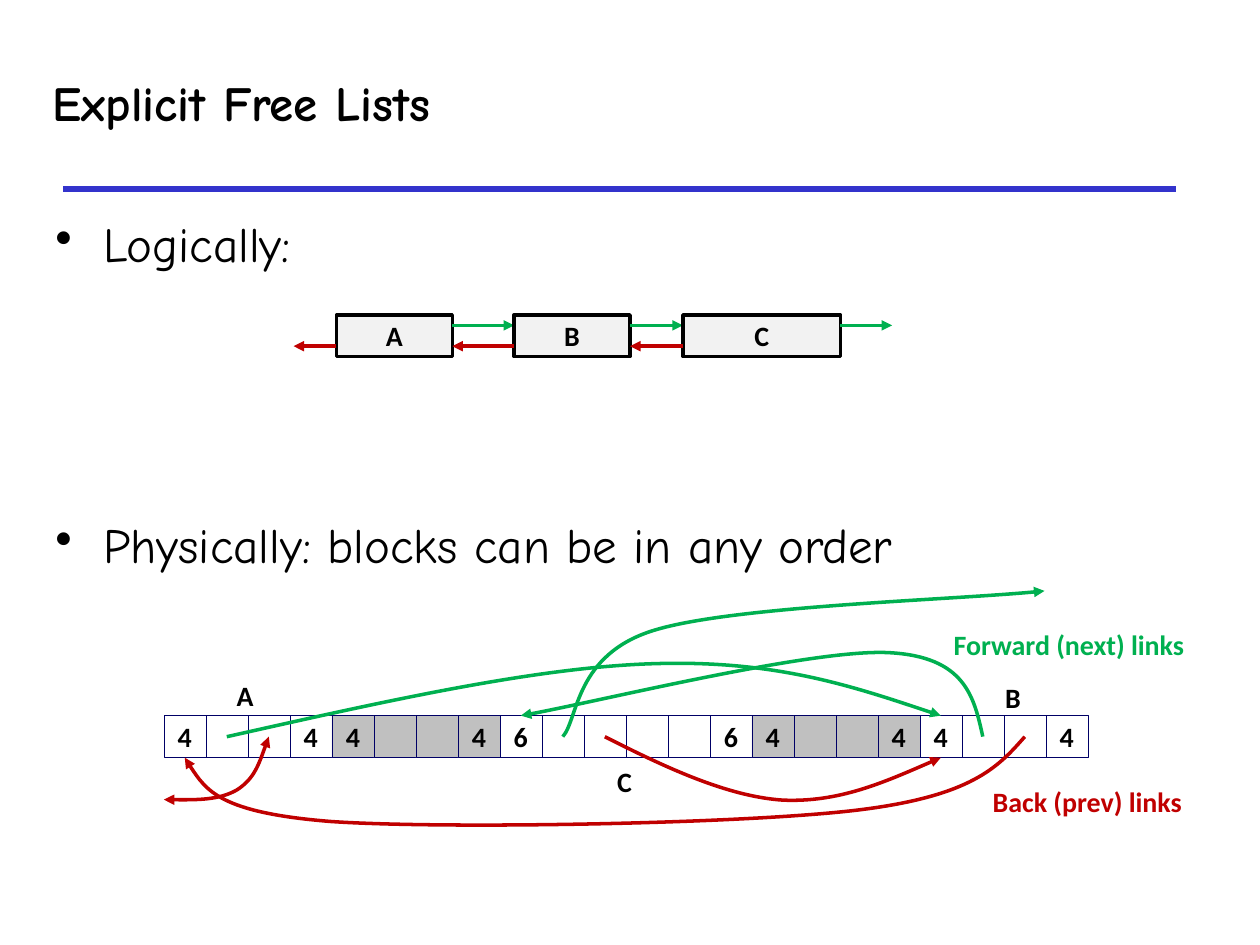
from dataclasses import dataclass

import pptx
import pptx.dml.color
import pptx.enum.shapes
import pptx.enum.text
import pptx.oxml
import pptx.oxml.ns
import pptx.util
from pptx.util import Inches

ALIGN = pptx.enum.text.PP_ALIGN
MIDDLE = pptx.enum.text.MSO_ANCHOR.MIDDLE
RECTANGLE = pptx.enum.shapes.MSO_SHAPE.RECTANGLE
STRAIGHT = pptx.enum.shapes.MSO_CONNECTOR.STRAIGHT


@dataclass(frozen=True)
class Theme:
    text: str = "000000"
    rule: str = "3333CC"
    forward: str = "00B050"
    back: str = "C00000"
    node: str = "F2F2F2"
    used: str = "C0C0C0"
    grid: str = "000066"
    heading_font: str = "Comic Neue"
    label_font: str = "Calibri"
    heading_size: float = 28
    label_size: float = 16
    link_width: float = 2
    grid_width: float = 0.25
    rule_width: float = 3


@dataclass(frozen=True)
class Box:
    left: float
    top: float
    width: float
    height: float

    def lengths(self):
        return [Inches(v) for v in (self.left, self.top, self.width, self.height)]


THEME = Theme()
HEADING = {"name": THEME.heading_font, "size": pptx.util.Pt(THEME.heading_size), "bold": False}
LABEL = {"name": THEME.label_font, "size": pptx.util.Pt(THEME.label_size), "bold": True}


def rgb(value):
    return pptx.dml.color.RGBColor.from_string(value)


def apply(target, values):
    for name, value in values.items():
        setattr(target, name, value)


def add_xml(parent, tag, **attributes):
    element = pptx.oxml.parse_xml(f"<a:{tag} {pptx.oxml.ns.nsdecls('a')}/>")
    for name, value in attributes.items():
        element.set(name, value)
    parent.append(element)


def write(para, text, style, color=THEME.text):
    span = para.add_run()
    span.text = text
    apply(span.font, style)
    span.font.color.rgb = rgb(color)


def style_line(line, color, width, arrows=()):
    line.color.rgb = rgb(color)
    line.width = pptx.util.Pt(width)
    for end in arrows:
        add_xml(line._get_or_add_ln(), end, type="triangle")


def add_line(page, start, finish, color, width, arrows=()):
    ends = [Inches(v) for v in (*start, *finish)]
    connector = page.shapes.add_connector(STRAIGHT, *ends)
    style_line(connector.line, color, width, arrows)
    add_xml(connector._element.spPr, "effectLst")


def add_block(page, box, text, fill, color, width):
    block = page.shapes.add_shape(RECTANGLE, *box.lengths())
    block.shadow.inherit = False
    if fill:
        block.fill.solid()
        block.fill.fore_color.rgb = rgb(fill)
    else:
        block.fill.background()
    style_line(block.line, color, width)
    if text:
        apply(block.text_frame, {"word_wrap": False, "vertical_anchor": MIDDLE})
        para = block.text_frame.paragraphs[0]
        para.alignment = ALIGN.CENTER
        write(para, text, LABEL)


def add_label(page, box, text, color):
    label = page.shapes.add_textbox(*box.lengths())
    label.text_frame.word_wrap = False
    write(label.text_frame.paragraphs[0], text, LABEL, color)


def add_curve(page, points, color, arrows):
    """Draw cubic curves: a start point, then three points for each curve."""
    start, *controls = [(Inches(x), Inches(y)) for x, y in points]
    builder = page.shapes.build_freeform(*start)
    builder.add_line_segments(controls, close=False)
    curve = builder.convert_to_shape()
    curve.shadow.inherit = False
    curve.fill.background()
    style_line(curve.line, color, THEME.link_width, arrows)
    # Join every three straight segments into one cubic segment
    segments = list(curve._element.iter(pptx.oxml.ns.qn("a:lnTo")))
    for first in range(0, len(segments), 3):
        cubic = pptx.oxml.parse_xml(f"<a:cubicBezTo {pptx.oxml.ns.nsdecls('a')}/>")
        segments[first].addprevious(cubic)
        for segment in segments[first:first + 3]:
            cubic.append(segment[0])
            segment.getparent().remove(segment)


def add_title(page, box, text):
    title = page.shapes.title
    apply(title, dict(zip(("left", "top", "width", "height"), box.lengths())))
    title.text_frame.vertical_anchor = MIDDLE
    para = title.text_frame.paragraphs[0]
    apply(para, {"alignment": ALIGN.LEFT, "line_spacing": 0.87})
    write(para, text, {**HEADING, "bold": True})


def add_bullets(page, box, items):
    frame = page.shapes.add_textbox(*box.lengths()).text_frame
    frame.word_wrap = True
    for index, (text, space) in enumerate(items):
        para = frame.add_paragraph() if index else frame.paragraphs[0]
        apply(para, {"line_spacing": 0.85, "space_before": pptx.util.Pt(space)})
        properties = para._p.get_or_add_pPr()
        properties.set("marL", str(Inches(0.38)))
        properties.set("indent", str(-Inches(0.38)))
        add_xml(properties, "buChar", char="•")
        write(para, text, HEADING)


def add_logical_list(page, box):
    nodes = [("A", 0.34, 0.92), ("B", 1.75, 0.92), ("C", 3.09, 1.25)]
    lefts = [box.left + offset for _, offset, _ in nodes] + [box.left + box.width]
    rights = [box.left] + [left + node[2] for left, node in zip(lefts, nodes)]
    next_y, back_y = box.top + box.height / 4, box.top + box.height * 3 / 4
    for index, (name, _, width) in enumerate(nodes):
        add_block(page, Box(lefts[index], box.top, width, box.height), name,
                  THEME.node, THEME.text, THEME.link_width)
        add_line(page, (rights[index + 1], next_y), (lefts[index + 1], next_y),
                 THEME.forward, THEME.link_width, ["tailEnd"])
        add_line(page, (lefts[index], back_y), (rights[index], back_y),
                 THEME.back, THEME.link_width, ["tailEnd"])


def add_physical_heap(page, box):
    # Blocks of words, with the size in the first and last word
    blocks = [(4, None), (4, THEME.used), (6, None), (4, THEME.used), (4, None)]
    cell = box.width / sum(size for size, _ in blocks)
    column = 0
    for size, fill in blocks:
        for word in range(size):
            text = str(size) if word in (0, size - 1) else ""
            add_block(page, Box(box.left + column * cell, box.top, cell, box.height),
                      text, fill, THEME.grid, THEME.grid_width)
            column += 1

    # Links, measured in cells from the top left of the heap
    tail, both = ["tailEnd"], ["headEnd", "tailEnd"]
    links = [
        (THEME.forward, tail, [(1.5, 0.5), (5.2, -0.33), (8.9, -1.17), (11.74, -1.24),
                               (14.58, -1.32), (16.53, -0.66), (18.5, 0)]),
        (THEME.forward, tail, [(19.5, 0.5), (19.29, -0.45), (19.08, -1.41), (17.25, -1.5),
                               (15.42, -1.59), (9.96, -0.24), (8.5, 0)]),
        (THEME.back, tail, [(20.5, 0.5), (19.86, 1.23), (19.23, 1.92), (16.5, 2.25),
                            (13.74, 2.58), (6.66, 2.7), (3.99, 2.52),
                            (1.32, 2.31), (0.9, 1.65), (0.5, 1)]),
        (THEME.back, tail, [(10.5, 0.5), (11.94, 1.23), (13.41, 1.92), (14.73, 2.01),
                            (16.08, 2.07), (17.28, 1.53), (18.5, 1)]),
        (THEME.forward, tail, [(9.5, 0.5), (9.87, 0.09), (9.78, -1.47), (11.7, -2.04),
                               (13.59, -2.61), (19.02, -2.76), (20.97, -2.97)]),
        (THEME.back, both, [(2.5, 0.5), (2.31, 1.02), (2.16, 1.5), (1.74, 1.77),
                            (1.32, 2.01), (0.66, 2.01), (0, 2)]),
    ]
    for color, arrows, points in links:
        add_curve(page, [(box.left + x * cell, box.top + y * cell) for x, y in points],
                  color, arrows)

    # Names of the free blocks and of the two kinds of link
    for text, x, y, width, color in [
        ("Forward (next) links", 6.17, -0.75, 2.05, THEME.forward),
        ("Back (prev) links", 6.48, 0.5, 1.72, THEME.back),
        ("A", 0.48, -0.34, 0.34, THEME.text),
        ("B", 6.58, -0.33, 0.33, THEME.text),
        ("C", 3.5, 0.34, 0.32, THEME.text),
    ]:
        add_label(page, Box(box.left + x, box.top + y, width, 0.37), text, color)


def main():
    deck = pptx.Presentation()
    apply(deck, {"slide_width": Inches(10), "slide_height": Inches(7.5)})
    page = deck.slides.add_slide(deck.slide_layouts.get_by_name("Title Only"))
    add_line(page, (0.5, 1.5), (9.33, 1.5), THEME.rule, THEME.rule_width)
    add_title(page, Box(0.32, 0.53, 6.64, 0.63), "Explicit Free Lists")
    add_bullets(page, Box(0.34, 1.72, 9.09, 2.66),
                [("Logically:", 0), ("Physically: blocks can be in any order", 143.5)])
    add_logical_list(page, Box(2.33, 2.5, 4.75, 0.33))
    add_physical_heap(page, Box(1.3, 5.68, 22 / 3, 1 / 3))
    deck.save("out.pptx")


if __name__ == "__main__":
    main()
